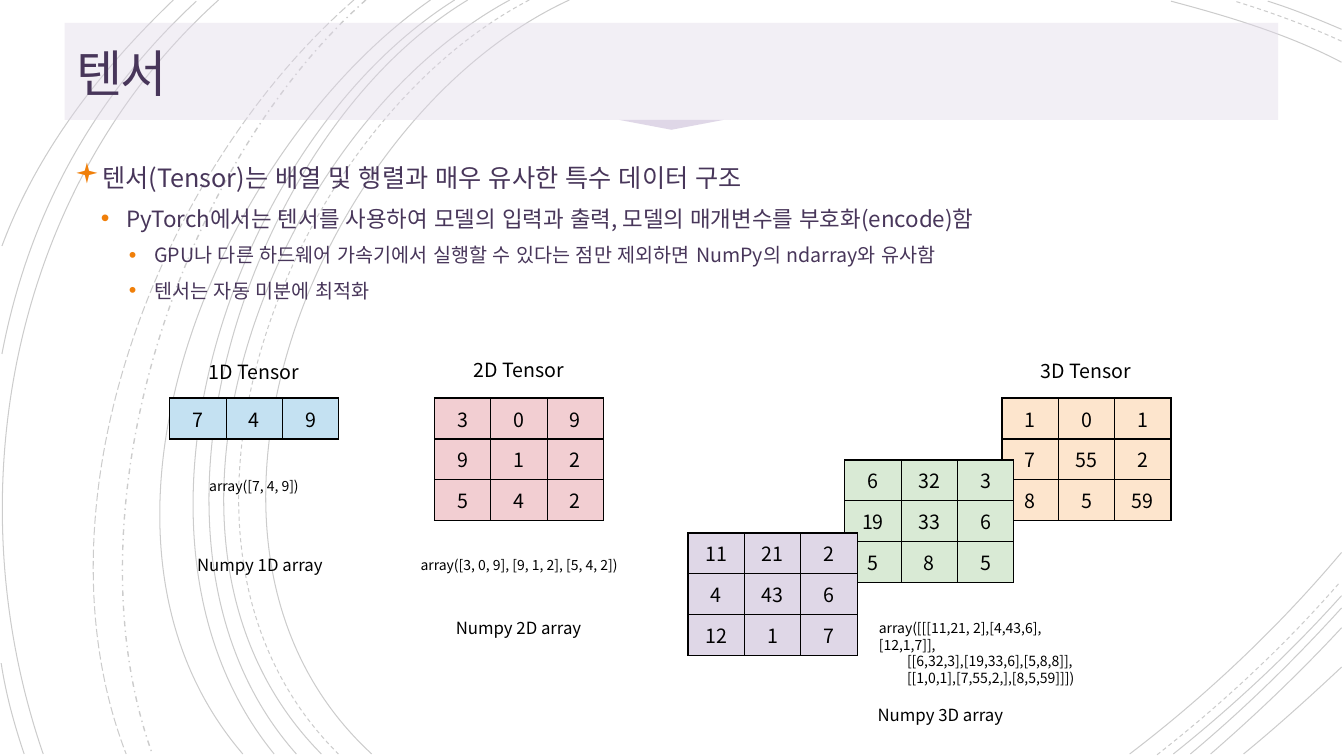
import dataclasses

import lxml.etree
import pptx
import pptx.dml.color
import pptx.enum.dml
import pptx.enum.lang
import pptx.enum.shapes
import pptx.enum.text
import pptx.oxml
import pptx.oxml.ns
import pptx.util

Cm = pptx.util.Cm
Pt = pptx.util.Pt
RGB = pptx.dml.color.RGBColor.from_string
Dash = pptx.enum.dml.MSO_LINE_DASH_STYLE
Shape = pptx.enum.shapes.MSO_SHAPE
Align = pptx.enum.text.PP_ALIGN
Anchor = pptx.enum.text.MSO_ANCHOR
Language = pptx.enum.lang.MSO_LANGUAGE_ID
qn = pptx.oxml.ns.qn


@dataclasses.dataclass(frozen=True)
class Theme:
    """Colours, fonts and type sizes of the slide."""
    ink: str = "000000"
    heading: str = "48365A"
    bullet: str = "F07F09"
    lilac: str = "DFD7E7"
    blue: str = "C4E1F2"
    pink: str = "F2CED2"
    orange: str = "FDE5CD"
    green: str = "D9EAD5"
    body_font: str = "Noto Sans CJK KR"
    title_font: str = "Roboto Slab"
    title_size: int = 36
    level_sizes: tuple = (18, 16, 14)
    tensor_size: int = 14
    caption_size: int = 12
    code_size: int = 10


THEME = Theme()
COLUMN_WIDTH, ROW_HEIGHT = 1.42, 1.03
LEVEL_INDENTS = (0.64, 1.3, 2.01)
LEVEL_MARKS = (("Wingdings", "▪"), ("Arial", "•"), ("Arial", "•"))

ARCS = [
    ((14.35, 0), (8, 2.92), (3.63, 13.72), (9.37, 19)),
    ((33.81, 1.57), (32.46, 0.86), (30.94, 0.41), (29.51, 0.03)),
    ((28.47, 19), (30.4, 17.53), (32.23, 15.8), (33.81, 13.92)),
    ((12.85, 0), (6.86, 3.23), (2.79, 13.64), (8.1, 19)),
    ((33.81, 0.74), (33.2, 0.48), (32.59, 0.23), (31.95, 0.03)),
    ((29.57, 19), (31.06, 17.81), (32.51, 16.46), (33.81, 15.01)),
    ((11.79, 0), (6.2, 3.38), (2.79, 13.74), (7.47, 19)),
    ((30, 19), (31.34, 17.88), (32.61, 16.64), (33.81, 15.32)),
    ((11.46, 0), (5.87, 3.51), (2.46, 13.54), (6.91, 19)),
    ((30.51, 19), (31.65, 18.01), (32.77, 16.94), (33.81, 15.82)),
    ((10.85, 0), (5.51, 3.73), (1.35, 13.44), (6.12, 19)),
    ((31.34, 19), (32.18, 18.31), (32.99, 17.58), (33.81, 16.81)),
    ((5.51, 0), (0.28, 4.7), (-1.17, 12.45), (1.09, 19)),
    ((4.95, 0.03), (2.34, 2.44), (0.71, 5.44), (0.05, 8.92)),
    ((0.03, 16.71), (0.15, 17.5), (0.36, 18.26), (0.61, 19)),
    ((4.37, 0), (2.54, 1.75), (0.94, 3.81), (0.05, 6.2)),
]
DASHED_ARCS = [
    ((13.34, 0), (7.24, 3.18), (3.12, 13.64), (8.53, 19)),
    ((33.81, 1.04), (32.94, 0.64), (32, 0.3), (31.12, 0.03)),
    ((29.16, 19.02), (30.81, 17.73), (32.39, 16.26), (33.78, 14.66)),
]
DASH_DOT_ARC = ((9.22, 0), (4.47, 4.22), (1.65, 12.93), (3.84, 19))
LONG_DASH_ARC = ((8.92, 0), (3.99, 4.29), (0.74, 12.67), (3.18, 19))

BULLETS = [
    (0, "텐서(Tensor)는 배열 및 행렬과 매우 유사한 특수 데이터 구조"),
    (1, "PyTorch에서는 텐서를 사용하여 모델의 입력과 출력, 모델의 매개변수를 부호화(encode)함"),
    (2, "GPU나 다른 하드웨어 가속기에서 실행할 수 있다는 점만 제외하면 NumPy의 ndarray와 유사함"),
    (2, "텐서는 자동 미분에 최적화"),
]
TENSORS = [
    (4.28, 10.03, THEME.blue, [[7, 4, 9]]),
    (10.95, 10.03, THEME.pink, [[3, 0, 9], [9, 1, 2], [5, 4, 2]]),
    (25.25, 10.03, THEME.orange, [[1, 0, 1], [7, 55, 2], [8, 5, 59]]),
    (21.29, 11.59, THEME.green, [[6, 32, 3], [19, 33, 6], [5, 8, 5]]),
    (17.34, 13.43, THEME.lilac, [[11, 21, 2], [4, 43, 6], [12, 1, 7]]),
]
LABELS = [
    (4.6, 8.94, 3.6, THEME.tensor_size, "1D Tensor"),
    (11.28, 8.89, 3.6, THEME.tensor_size, "2D Tensor"),
    (25.57, 8.92, 3.6, THEME.tensor_size, "3D Tensor"),
    (4.6, 11.91, 3.6, THEME.code_size, "array([7, 4, 9])"),
    (10.17, 13.89, 5.82, THEME.code_size, "array([3, 0, 9], [9, 1, 2], [5, 4, 2])"),
    (4.15, 13.85, 4.8, THEME.caption_size, "Numpy 1D array"),
    (10.67, 15.44, 4.8, THEME.caption_size, "Numpy 2D array"),
    (21.3, 17.63, 4.8, THEME.caption_size, "Numpy 3D array"),
]
ARRAY_3D = [
    "array([[[11,21, 2],[4,43,6],[12,1,7]],",
    "[[6,32,3],[19,33,6],[5,8,8]],",
    "[[1,0,1],[7,55,2,],[8,5,59]]])",
]


def set_alpha(color_parent, percent):
    """Make the solid colour under an element partly transparent."""
    color = next(color_parent.iter(qn("a:srgbClr")))
    lxml.etree.SubElement(color, qn("a:alpha"), val=str(percent * 1000))


def style_para(para, size, color=THEME.ink, font=THEME.body_font):
    """Format every run of a paragraph."""
    for span in para.runs:
        span.font.size = Pt(size)
        span.font.name = font
        span.font.language_id = Language.KOREAN
        span.font.color.rgb = RGB(color)
        lxml.etree.SubElement(span.font._element, qn("a:ea"), typeface=font)


def indent_para(para, left, first=0):
    """Set the left margin and first-line indent of a paragraph."""
    properties = para._p.get_or_add_pPr()
    properties.set("marL", str(Cm(left)))
    properties.set("indent", str(Cm(first)))
    return properties


def add_text(page, left, top, width, height, text):
    """Add a wrapping text box and return its frame."""
    box = page.shapes.add_textbox(Cm(left), Cm(top), Cm(width), Cm(height))
    box.text_frame.word_wrap = True
    box.text_frame.text = text
    return box.text_frame


def add_arc(page, points, dash=None, weight=0.75):
    """Draw a faint cubic curve from its four control points."""
    start, *controls = [(Cm(x), Cm(y)) for x, y in points]
    builder = page.shapes.build_freeform(*start)
    builder.add_line_segments(controls, close=False)
    arc = builder.convert_to_shape()
    outline = next(arc._element.iter(qn("a:path")))
    segments = outline.findall(qn("a:lnTo"))
    bend = lxml.etree.SubElement(outline, qn("a:cubicBezTo"))
    for segment in segments:
        bend.append(segment[0])
        outline.remove(segment)
    arc.shadow.inherit = False
    arc.fill.background()
    arc.line.color.rgb = RGB(THEME.ink)
    arc.line.width = Pt(weight)
    if dash:
        arc.line.dash_style = dash
    set_alpha(arc.line._ln, 20)


def add_band(page, kind, left, top, width, height):
    """Add a lilac shape without outline."""
    band = page.shapes.add_shape(kind, Cm(left), Cm(top), Cm(width), Cm(height))
    band.shadow.inherit = False
    band.fill.solid()
    band.fill.fore_color.rgb = RGB(THEME.lilac)
    band.line.fill.background()
    return band


def add_title(page, text):
    """Add the title over its band."""
    frame = add_text(page, 1.63, 0.58, 30.58, 2.41, text)
    frame.vertical_anchor = Anchor.MIDDLE
    frame.margin_left = frame.margin_right = frame.margin_top = Cm(0.3)
    frame.margin_bottom = 0
    para = frame.paragraphs[0]
    para.line_spacing = 0.85
    style_para(para, THEME.title_size, THEME.heading, THEME.title_font)
    para.runs[0].font._element.set("spc", "-150")


def add_bullets(page, bullets):
    """Add the bulleted outline."""
    frame = add_text(page, 1.63, 3.81, 30.58, 14.43, "\n".join(text for _, text in bullets))
    for para, (level, _) in zip(frame.paragraphs, bullets):
        para.level = level
        para.line_spacing = 1.2
        para.space_before = Pt(5 if level else 10)
        properties = indent_para(para, LEVEL_INDENTS[level], -0.64)
        font, mark = LEVEL_MARKS[level]
        color = lxml.etree.SubElement(properties, qn("a:buClr"))
        lxml.etree.SubElement(color, qn("a:srgbClr"), val=THEME.bullet)
        lxml.etree.SubElement(properties, qn("a:buSzPct"), val="110000")
        lxml.etree.SubElement(properties, qn("a:buFont"), typeface=font)
        lxml.etree.SubElement(properties, qn("a:buChar"), char=mark)
        style_para(para, THEME.level_sizes[level], THEME.heading)


def add_borders(cell):
    """Draw a thin line on all four sides of a cell."""
    properties = cell._tc.get_or_add_tcPr()
    for position, side in enumerate(("lnL", "lnR", "lnT", "lnB")):
        line = properties.makeelement(qn("a:" + side), {"w": str(Pt(1))})
        fill = lxml.etree.SubElement(line, qn("a:solidFill"))
        lxml.etree.SubElement(fill, qn("a:srgbClr"), val=THEME.ink)
        properties.insert(position, line)


def add_tensor(page, left, top, color, values):
    """Add a table of numbers in one colour."""
    rows, columns = len(values), len(values[0])
    table = page.shapes.add_table(rows, columns, Cm(left), Cm(top), Cm(columns * COLUMN_WIDTH),
                                  Cm(rows * ROW_HEIGHT)).table
    table.first_row = table.horz_banding = False
    for row, numbers in enumerate(values):
        for column, number in enumerate(numbers):
            cell = table.cell(row, column)
            cell.text_frame.text = str(number)
            cell.vertical_anchor = Anchor.MIDDLE
            cell.fill.solid()
            cell.fill.fore_color.rgb = RGB(color)
            add_borders(cell)
            para = cell.text_frame.paragraphs[0]
            para.alignment = Align.CENTER
            style_para(para, THEME.tensor_size)


def add_label(page, left, top, width, size, text):
    """Add a centred one-line label."""
    para = add_text(page, left, top, width, 0.8, text).paragraphs[0]
    para.alignment = Align.CENTER
    style_para(para, size)


def add_listing(page, lines):
    """Add the nested array with its later lines indented."""
    frame = add_text(page, 21.9, 15.48, 5.69, 1.55, "\n".join(lines))
    for number, para in enumerate(frame.paragraphs):
        indent_para(para, 0.71 if number else 0)
        style_para(para, THEME.code_size)


def main():
    """Build the slide and save it."""
    deck = pptx.Presentation()
    deck.slide_width, deck.slide_height = Cm(33.87), Cm(19.05)
    page = deck.slides.add_slide(deck.slide_layouts[6])
    for points in ARCS:
        add_arc(page, points)
    for points in DASHED_ARCS:
        add_arc(page, points, Dash.DASH)
    add_arc(page, DASH_DOT_ARC, Dash.DASH_DOT, 1)
    add_arc(page, LONG_DASH_ARC, Dash.LONG_DASH)
    add_band(page, Shape.ISOSCELES_TRIANGLE, 15.6, 3.02, 2.64, 0.25).rotation = 180
    set_alpha(add_band(page, Shape.RECTANGLE, 1.63, 0.58, 30.58, 2.44)._element.spPr, 40)
    add_bullets(page, BULLETS)
    add_title(page, "텐서")
    for tensor in TENSORS:
        add_tensor(page, *tensor)
    for label in LABELS:
        add_label(page, *label)
    add_listing(page, ARRAY_3D)
    deck.save("out.pptx")


if __name__ == "__main__":
    main()
